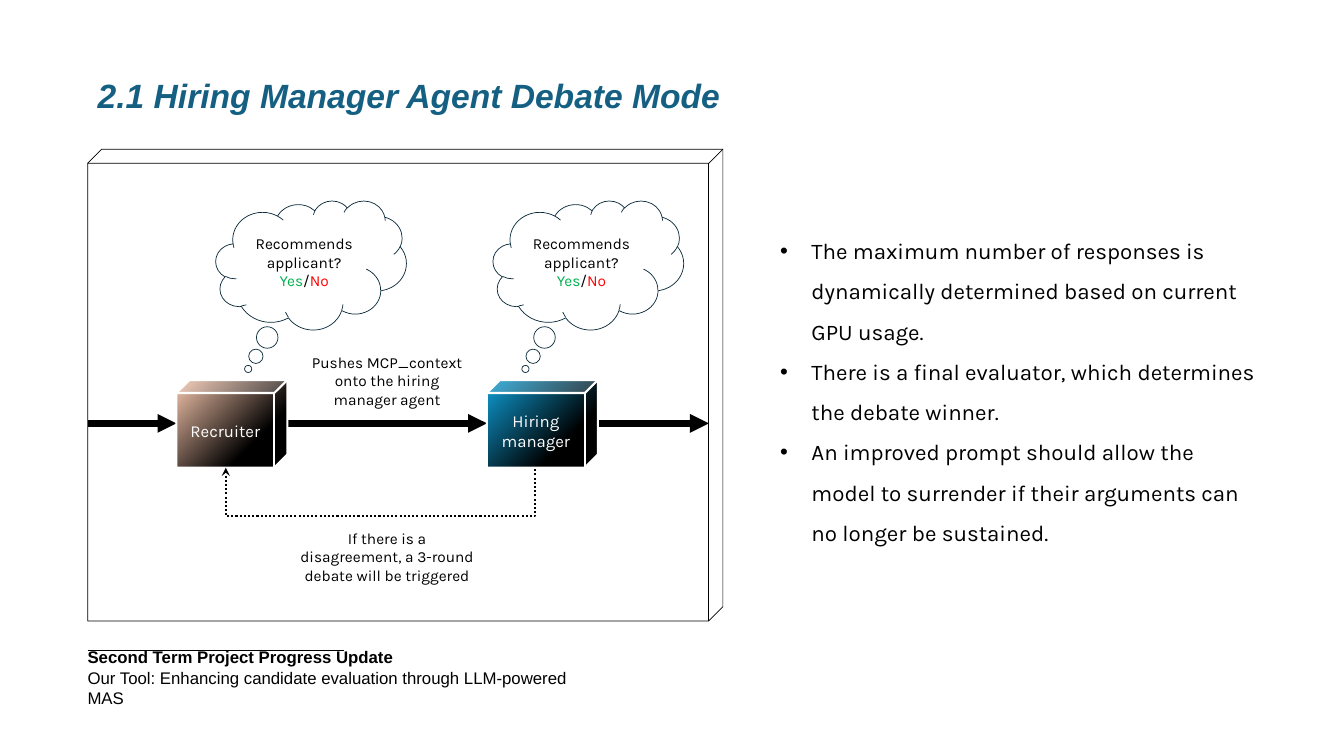
from dataclasses import dataclass
from typing import Any, NamedTuple

from lxml.etree import SubElement
from pptx import Presentation
from pptx.dml.color import RGBColor as RGB
from pptx.enum.dml import MSO_LINE_DASH_STYLE as Dash
from pptx.enum.shapes import MSO_CONNECTOR_TYPE as Link, MSO_SHAPE as Shape
from pptx.enum.text import MSO_ANCHOR as Anchor, PP_ALIGN as Align
from pptx.oxml.ns import qn
from pptx.util import Emu, Inches, Pt


@dataclass(frozen=True)
class Theme:
    heading: str = "Arial"
    body: str = "Karla"
    black: str = "000000"
    white: str = "FFFFFF"
    title: str = "156082"
    cloud: str = "092A39"
    yes: str = "00B050"
    no: str = "FF0000"
    recruiter: str = "F6C6AD"
    manager: str = "0F9ED5"
    title_size: float = 24
    bullet_size: float = 16
    label_size: float = 12
    note_size: float = 11


T = Theme()
CELLS_PER_INCH = 10


class Box(NamedTuple):
    col: float
    row: float
    cols: float
    rows: float


class Run(NamedTuple):
    text: str
    color: str = T.black
    bold: bool = False
    italic: bool = False


class Style(NamedTuple):
    font: str
    size: float
    para: dict[str, Any] = {}


class Agent(NamedTuple):
    name: str
    color: str
    col: float
    cloud_col: float


class Line(NamedTuple):
    start: float
    end: float
    row: float
    width: float
    arrow: bool = True


TITLE = Style(T.heading, T.title_size, {"line_spacing": 1.15, "space_after": Pt(8)})
FOOTER = Style(T.heading, T.label_size)
LABEL = Style(T.body, T.label_size, {"alignment": Align.CENTER})
NOTE = Style(T.body, T.note_size, {"alignment": Align.CENTER})
BULLET = Style(T.body, T.bullet_size, {"line_spacing": 1.5})

LEFT, FLOW_ROW, CUBE_ROW = 8.7, 42, 37.7
CUBE_COLS, CUBE_ROWS = 11, 8.7
AGENTS = [
    Agent("Recruiter", T.recruiter, 17.5, 21.4),
    Agent("Hiring manager", T.manager, 48.3, 48.9),
]
LINES = [
    Line(LEFT, 34.1, 64.5, 0.75, False),
    Line(LEFT, AGENTS[0].col, FLOW_ROW, 4.5),
    Line(AGENTS[0].col + CUBE_COLS, AGENTS[1].col, FLOW_ROW, 4.5),
    Line(AGENTS[1].col + CUBE_COLS, 70.3, FLOW_ROW, 4.5),
]
TEXTS = [
    (Box(LEFT, 6.3, 85.8, 5.4), TITLE, Anchor.TOP,
     [[Run("2.1 Hiring Manager Agent Debate Mode", T.title, True, True)]]),
    (Box(7.7, 64.7, 50, 5), FOOTER, Anchor.MIDDLE,
     [[Run("Second Term Project Progress Update", bold=True)],
      [Run("Our Tool: Enhancing candidate evaluation through LLM-powered MAS")]]),
    (Box(29.9, 34.5, 17, 6.6), NOTE, Anchor.TOP,
     [[Run("Pushes MCP_context onto the hiring manager agent")]]),
    (Box(28.5, 52, 19.8, 6.6), NOTE, Anchor.TOP,
     [[Run("If there is a disagreement, a 3-round debate will be triggered")]]),
    (Box(76.4, 21.7, 49.3, 32.9), BULLET, Anchor.TOP,
     [[Run("The maximum number of responses is dynamically determined based on current GPU usage.")],
      [Run("There is a final evaluator, which determines the debate winner.")],
      [Run("An improved prompt should allow the model to surrender if their arguments can no longer be sustained.")]]),
]
QUESTION = [
    [Run("Recommends applicant?")],
    [Run("Yes", T.yes), Run("/"), Run("No", T.no)],
]


def cell(n: float) -> Emu:
    return Inches(n / CELLS_PER_INCH)


def apply(target: Any, values: dict[str, Any]) -> None:
    for name, value in values.items():
        setattr(target, name, value)


def add_bullet(p: Any) -> None:
    pr = p._p.get_or_add_pPr()
    indents = {"marL": Inches(0.31), "indent": -Inches(0.31)}
    for name, value in indents.items():
        pr.set(name, str(int(value)))
    SubElement(pr, qn("a:buFont"), typeface="Arial")
    SubElement(pr, qn("a:buChar"), char="•")


def write(sp: Any, paragraphs: list[list[Run]], style: Style, anchor: Any) -> None:
    tf = sp.text_frame
    apply(tf, {"word_wrap": True, "vertical_anchor": anchor})
    for i, runs in enumerate(paragraphs):
        p = tf.add_paragraph() if i else tf.paragraphs[0]
        apply(p, style.para)
        if style is BULLET:
            add_bullet(p)
        for run in runs:
            r = p.add_run()
            r.text = run.text
            apply(r.font, {"name": style.font, "size": Pt(style.size),
                           "bold": run.bold, "italic": run.italic})
            r.font.color.rgb = RGB.from_string(run.color)


def add_outline(s: Any, kind: Any, box: Box, adjust: list[float], color: str, width: float) -> Any:
    sp = s.shapes.add_shape(kind, *map(cell, box))
    sp.shadow.inherit = False
    sp.fill.background()
    for i, value in enumerate(adjust):
        sp.adjustments[i] = value
    sp.line.color.rgb = RGB.from_string(color)
    sp.line.width = Pt(width)
    return sp


def add_link(s: Any, kind: Any, ends: list[float], width: float) -> Any:
    c = s.shapes.add_connector(kind, *map(cell, ends))
    c.line.color.rgb = RGB.from_string(T.black)
    c.line.width = Pt(width)
    SubElement(c._element.spPr, qn("a:effectLst"))
    return c


def add_line(s: Any, line: Line) -> None:
    c = add_link(s, Link.STRAIGHT, [line.start, line.row, line.end, line.row], line.width)
    if line.arrow:
        SubElement(c.line._get_or_add_ln(), qn("a:tailEnd"), type="triangle")


def add_agent(s: Any, agent: Agent) -> None:
    box = Box(agent.col, CUBE_ROW, CUBE_COLS, CUBE_ROWS)
    cube = add_outline(s, Shape.CUBE, box, [0.149], T.white, 1.5)
    cube.fill.gradient()
    cube.fill.gradient_angle = 135
    stops = [(0.29, T.black), (1, agent.color)]
    for stop, (position, color) in zip(cube.fill.gradient_stops, stops):
        stop.position = position
        stop.color.rgb = RGB.from_string(color)
    write(cube, [[Run(agent.name, T.white)]], LABEL, Anchor.MIDDLE)
    cloud = add_outline(s, Shape.CLOUD_CALLOUT, Box(agent.cloud_col, 19.9, 18.9, 12.8),
                        [-0.33, 0.805], T.cloud, 0.5)
    write(cloud, QUESTION, NOTE, Anchor.MIDDLE)


def add_feedback(s: Any) -> None:
    c = add_link(s, Link.ELBOW, [37.8, 31.1, 37.7, 61.8], 1.5)
    c.line.dash_style = Dash.ROUND_DOT
    SubElement(c.line._get_or_add_ln(), qn("a:headEnd"), type="stealth")
    pr = c._element.spPr
    pr.find(qn("a:xfrm")).set("rot", str(270 * 60000))
    guides = pr.find(qn("a:prstGeom")).find(qn("a:avLst"))
    SubElement(guides, qn("a:gd"), name="adj1", fmla="val 4900000")


def main() -> None:
    prs = Presentation()
    apply(prs, {"slide_width": Inches(13.33), "slide_height": Inches(7.5)})
    s = prs.slides.add_slide(prs.slide_layouts[6])
    add_outline(s, Shape.CUBE, Box(LEFT, 14.8, 63, 46.8), [0.03], T.black, 0.5)
    for line in LINES:
        add_line(s, line)
    for agent in AGENTS:
        add_agent(s, agent)
    add_feedback(s)
    for box, style, anchor, paragraphs in TEXTS:
        write(s.shapes.add_textbox(*map(cell, box)), paragraphs, style, anchor)
    prs.save("out.pptx")


if __name__ == "__main__":
    main()
